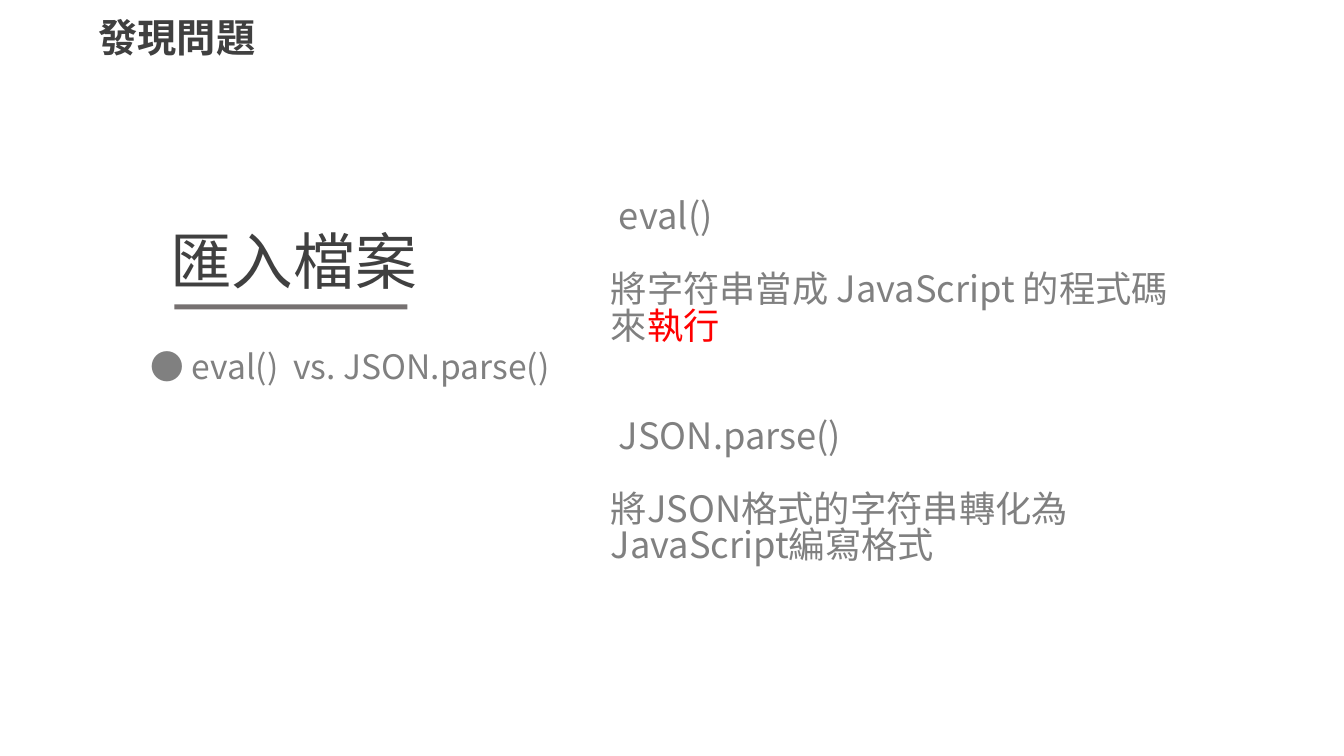
from dataclasses import dataclass

from pptx import Presentation
from pptx.dml.color import RGBColor
from pptx.enum.shapes import MSO_SHAPE
from pptx.enum.text import PP_ALIGN
from pptx.util import Inches, Pt

RECTANGLE = MSO_SHAPE.RECTANGLE
LEFT = PP_ALIGN.LEFT
JUSTIFY = PP_ALIGN.JUSTIFY

SLIDE_WIDTH = Inches(13.33)
SLIDE_HEIGHT = Inches(7.5)
COLUMNS, ROWS = 133.3, 75

FONT = "Noto Sans CJK SC"
DARK, GREY, TAUPE, RED, WHITE = "404040", "808080", "767171", "FF0000", "FFFFFF"
BLANK_LAYOUT = 6
EXPLANATION_LINE = 26.1


@dataclass(frozen=True)
class Area:
    """A rectangle in columns and rows of the slide grid."""
    column: float
    row: float
    columns: float
    rows: float

    def box(self) -> tuple[int, int, int, int]:
        column_width = SLIDE_WIDTH / COLUMNS
        row_height = SLIDE_HEIGHT / ROWS
        return (round(self.column * column_width), round(self.row * row_height),
                round(self.columns * column_width), round(self.rows * row_height))


@dataclass(frozen=True)
class Line:
    """A paragraph with an optional highlighted ending and lines of space before it."""
    text: str
    highlight: str = ""
    gap: int = 0


EXPLANATION = [
    Line(" eval()"),
    Line("將字符串當成 JavaScript 的程式碼來", highlight="執行", gap=1),
    Line(" JSON.parse()", gap=2),
    Line("將JSON格式的字符串轉化為JavaScript編寫格式", gap=1),
]

# Outlines of the export icon, in columns and rows of the slide grid.
DEVICE_FRAME = [
    (105.1, 45.4), (106.6, 45.4), (107, 45.6), (107.1, 45.9), (107.1, 46.7),
    (106.9, 46.7), (106.9, 46.1), (106.6, 45.9), (105.1, 45.9), (104.8, 46.1),
    (104.8, 48.4), (105.1, 48.6), (106.6, 48.6), (106.9, 48.4), (106.9, 47.6),
    (107.1, 47.6), (107.1, 48.9), (107, 49.2), (106.6, 49.4), (105.1, 49.4),
    (104.7, 49.2), (104.6, 48.9), (104.6, 45.9), (104.7, 45.6),
]
EXPORT_ARROW = [
    (107.3, 47.7), (107.7, 47.4), (106.6, 47.4), (106.4, 47.1), (106.6, 46.9),
    (107.7, 46.9), (107.3, 46.6), (107.3, 46.3), (107.6, 46.3), (108.3, 47),
    (108.4, 47.15), (108.3, 47.3), (107.6, 48), (107.3, 48),
]
HOME_BUTTON = [(105.9, 48.8), (106, 49), (105.9, 49.2), (105.6, 49)]
SPEAKER_SLOT = [(105.6, 45.6), (106.1, 45.6), (106.2, 45.7), (106.1, 45.7),
                (105.6, 45.7), (105.5, 45.7)]
EXPORT_ICON = [DEVICE_FRAME, EXPORT_ARROW, HOME_BUTTON, SPEAKER_SLOT]


def rgb(value: str) -> RGBColor:
    return RGBColor.from_string(value)


def add_text(slide, area: Area, lines: list[Line], *, size: float, color: str = GREY,
             bold: bool = False, wrap: bool = True, align=LEFT,
             spacing: float = 1.0, gap_size: float = 0) -> None:
    frame = slide.shapes.add_textbox(*area.box()).text_frame
    frame.word_wrap = wrap
    for index, line in enumerate(lines):
        paragraph = frame.add_paragraph() if index else frame.paragraphs[0]
        paragraph.alignment = align
        paragraph.line_spacing = spacing
        paragraph.space_before = Pt(line.gap * gap_size)
        for text, text_color in ((line.text, color), (line.highlight, RED)):
            if text:
                run = paragraph.add_run()
                run.text = text
                run.font.name = FONT
                run.font.size = Pt(size)
                run.font.bold = bold
                run.font.color.rgb = rgb(text_color)
                properties = run.font._element
                east_asian = properties.makeelement(
                    properties.latin.tag.replace("latin", "ea"), {"typeface": FONT})
                properties.latin.addnext(east_asian)


def paint(shape, color: str) -> None:
    shape.shadow.inherit = False
    shape.fill.solid()
    shape.fill.fore_color.rgb = rgb(color)
    shape.line.fill.background()


def add_icon(slide, outlines: list[list[tuple[float, float]]], color: str) -> None:
    scale = (SLIDE_WIDTH / COLUMNS, SLIDE_HEIGHT / ROWS)
    builder = slide.shapes.build_freeform(*outlines[0][0], scale=scale)
    for index, (start, *corners) in enumerate(outlines):
        if index:
            builder.move_to(*start)
        builder.add_line_segments(corners, close=True)
    paint(builder.convert_to_shape(), color)


def main() -> None:
    presentation = Presentation()
    presentation.slide_width = SLIDE_WIDTH
    presentation.slide_height = SLIDE_HEIGHT
    slide = presentation.slides.add_slide(presentation.slide_layouts[BLANK_LAYOUT])

    add_text(slide, Area(15.9, 21.6, 40, 8.4), [Line("匯入檔案")],
             size=44, color=DARK, wrap=False)
    underline_box = Area(17.3, 30.2, 23.1, 0.5).box()
    paint(slide.shapes.add_shape(RECTANGLE, *underline_box), TAUPE)
    add_text(slide, Area(13.95, 33.65, 42, 16.8), [Line("● eval()  vs. JSON.parse()")],
             size=24, spacing=1.04)
    add_text(slide, Area(59.6, 19.4, 57.8, 40.8), EXPLANATION,
             size=25.9, spacing=0.84, gap_size=EXPLANATION_LINE)
    add_icon(slide, EXPORT_ICON, WHITE)
    add_text(slide, Area(8.8, 0.85, 28.9, 5.7), [Line("發現問題")],
             size=28, color=DARK, bold=True, align=JUSTIFY)

    presentation.save("out.pptx")


if __name__ == "__main__":
    main()
